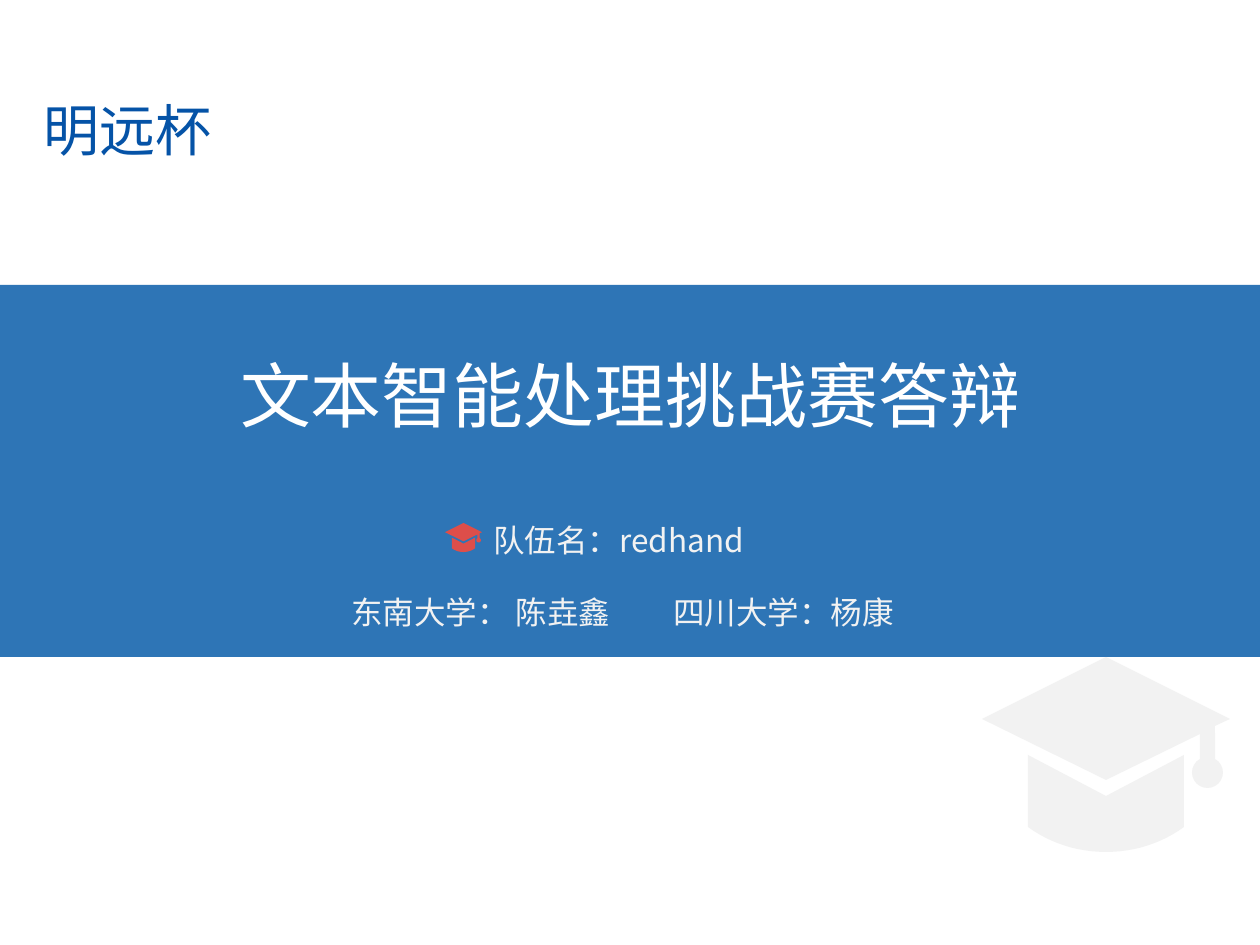
from math import cos, radians, sin

from lxml.etree import SubElement
from pptx import Presentation
from pptx.dml.color import RGBColor
from pptx.enum.shapes import MSO_SHAPE as Shape
from pptx.enum.text import MSO_ANCHOR as Anchor, MSO_AUTO_SIZE as Fit, PP_ALIGN as Align
from pptx.oxml.ns import qn
from pptx.util import Pt

PX = 914400 / 126
FONT = "Noto Sans CJK SC"
COLORS = {"band": "2E75B6", "white": "FFFFFF", "pale": "F2F2F2", "navy": "0553A7", "red": "DD4E4A"}
CAP = 248
FINE = 10


def px(n):
    return round(n * PX)


def tint(name):
    return RGBColor.from_string(COLORS[name])


def paint(shape, color):
    shape.shadow.inherit = False
    shape.fill.solid()
    shape.fill.fore_color.rgb = tint(color)
    shape.line.fill.background()


def add_band(slide, x, y, w, h):
    band = slide.shapes.add_shape(Shape.RECTANGLE, px(x), px(y), px(w), px(h))
    paint(band, "band")
    slide.shapes._spTree.insert(2, band._element)


def write(box, text, size, color, align=Align.LEFT, anchor=Anchor.MIDDLE, wrap=True, tab=None):
    frame = box.text_frame
    frame.auto_size = Fit.NONE
    frame.word_wrap = wrap
    frame.vertical_anchor = anchor
    frame.text = text
    para = frame.paragraphs[0]
    para.alignment = align
    props = para._p.get_or_add_pPr()
    if tab:
        stops = SubElement(props, qn("a:tabLst"))
        SubElement(stops, qn("a:tab"), pos=str(px(tab)), algn="l")
    font = para.font
    font.size = Pt(size)
    font.color.rgb = tint(color)
    font.name = FONT
    SubElement(props.find(qn("a:defRPr")), qn("a:ea"), typeface=FONT)


def add_title(slide, text, x, y, w, h):
    title = slide.shapes.title
    title.left, title.top, title.width, title.height = px(x), px(y), px(w), px(h)
    write(title, text, 40.5, "white", Align.CENTER, wrap=False)


def add_text(slide, text, x, y, w, h, size, color, **style):
    box = slide.shapes.add_textbox(px(x), px(y), px(w), px(h))
    write(box, text, size, color, **style)


def curve(a, b, c, d, steps=12):
    for i in range(steps + 1):
        t = i / steps
        u = 1 - t
        yield tuple(u**3 * p + 3 * u * u * t * q + 3 * u * t * t * r + t**3 * s
                    for p, q, r, s in zip(a, b, c, d))


def add_cap(slide, x, y, w, color):
    body = [(46, 98),
            *curve((46, 170), (68, 186), (95, 195), (124, 195)),
            *curve((124, 195), (153, 195), (180, 186), (202, 170)),
            (202, 98), (124, 139)]
    ball = [(225.5 + 15.5 * cos(radians(a)), 115.5 + 15.5 * sin(radians(a)))
            for a in range(240, -61, -15)]
    board = [(233, 69), (248, 62), (124, 0), (0, 62), (124, 123), (218, 77), *ball]
    body, board = ([(p * FINE, q * FINE) for p, q in part] for part in (body, board))
    pen = slide.shapes.build_freeform(*body[0], scale=w * PX / (CAP * FINE))
    pen.add_line_segments(body[1:])
    pen.move_to(*board[0])
    pen.add_line_segments(board[1:])
    paint(pen.convert_to_shape(px(x), px(y)), color)


def main():
    deck = Presentation()
    deck.slide_width, deck.slide_height = px(1260), px(945)
    slide = deck.slides.add_slide(deck.slide_layouts[5])
    add_band(slide, -6, 285, 1271, 372)
    add_title(slide, "文本智能处理挑战赛答辩", 224, 345, 813, 98)
    add_text(slide, "东南大学： 陈垚鑫\t四川大学：杨康", 339, 587, 622, 89, 18, "pale",
             anchor=Anchor.TOP, tab=322)
    add_text(slide, "明远杯", 31, 89, 339, 81, 32, "navy")
    add_cap(slide, 982, 657, 248, "pale")
    add_cap(slide, 445, 523, 37, "red")
    add_text(slide, "队伍名：redhand", 481, 515, 309, 50, 18, "pale")
    deck.save("out.pptx")


if __name__ == "__main__":
    main()
